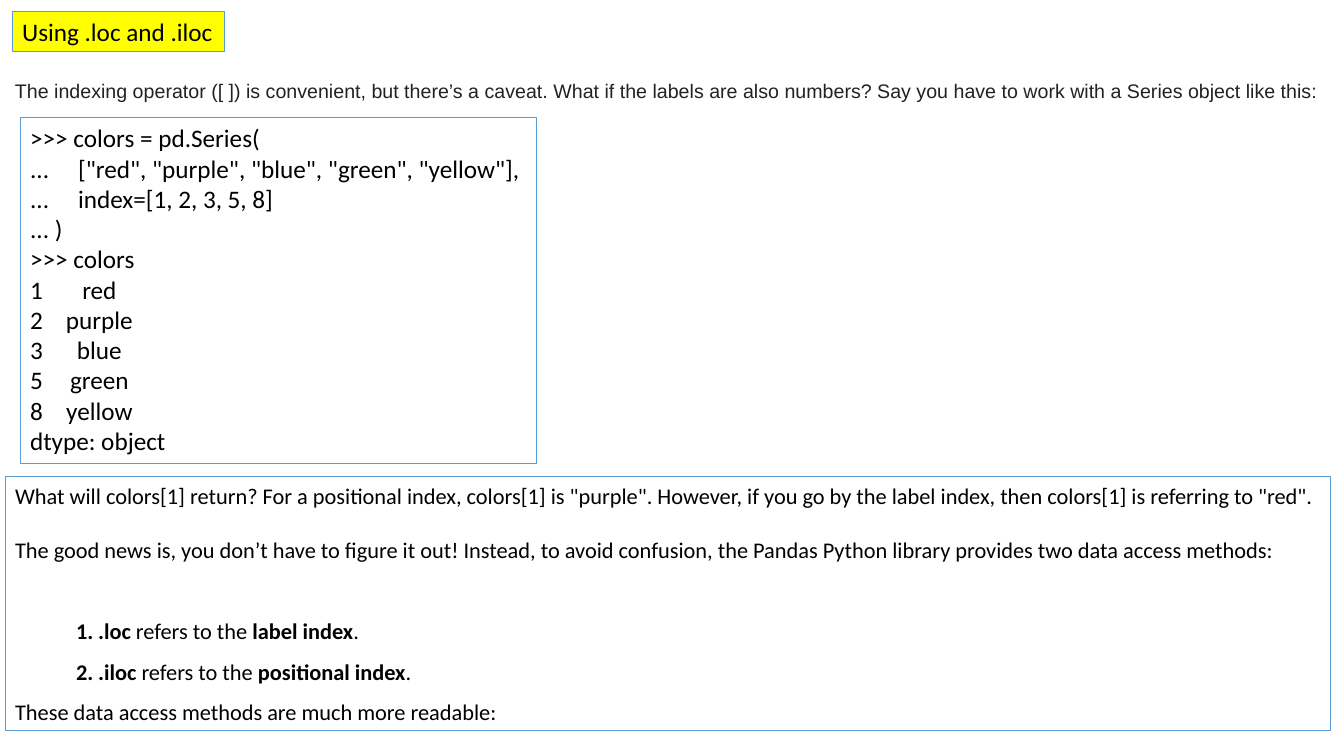
from lxml import etree
from pptx import Presentation
from pptx.dml.color import RGBColor
from pptx.enum import shapes, text
from pptx.oxml import ns
from pptx.util import Pt

COLORS = {"text": "000000", "intro": "222222", "border": "5B9BD5", "heading": "FFFF00"}

HEADING = "Using .loc and .iloc"
INTRO = ("The indexing operator ([ ]) is convenient, but there’s a caveat. What if the labels "
         "are also numbers? Say you have to work with a Series object like this:")
CALL = [
    ">>> colors = pd.Series(",
    '...\t["red", "purple", "blue", "green", "yellow"],',
    "...\tindex=[1, 2, 3, 5, 8]",
    "... )",
    ">>> colors",
]
SERIES = {1: "red", 2: "purple", 3: "blue", 5: "green", 8: "yellow"}
DTYPE = "dtype: object"

# Each paragraph: pieces of (words, bold), space before, line spacing, numbered
EXPLANATION = [
    ([('What will colors[1] return? For a positional index, colors[1] is "purple". However, '
       'if you go by the label index, then colors[1] is referring to "red".', False)],
     0, 1, False),
    ([("The good news is, you don’t have to figure it out! Instead, to avoid confusion, the "
       "Pandas Python library provides two data access methods:", False)],
     19.5, 1, False),
    ([(".loc ", True), ("refers to the ", False), ("label index", True), (".", False)],
     29.3, 1.5, True),
    ([(".iloc ", True), ("refers to the ", False), ("positional index", True), (".", False)],
     0, 1.5, True),
    ([("These data access methods are much more readable:", False)], 0, 1.5, False),
]

# Left, top, width, height
PLACES = {
    "heading": (8.6, 7.9, 152, 28.8),
    "intro": (3.6, 52.6, 946.8, 24.2),
    "code": (14.4, 84.2, 368.6, 247),
    "explanation": (3.6, 340.6, 946.8, 181.4),
}
CODE_TAB, VALUE_TAB = 34.3, 49.5
NUMBER_LEFT, NUMBER_GAP = 43.6, 15.7


def rgb(name):
    """Look up a colour by its role."""
    return RGBColor.from_string(COLORS[name])


def place(part, name):
    """Move a part to its place on the slide."""
    part.left, part.top, part.width, part.height = map(Pt, PLACES[name])


def outline(part, fill=None):
    """Give a part the thin blue border and an optional fill."""
    part.line.color.rgb = rgb("border")
    part.line.width = Pt(0.75)
    if fill:
        part.fill.solid()
        part.fill.fore_color.rgb = rgb(fill)
    else:
        part.fill.background()


def set_frame(frame, wrap):
    """Anchor the words at the top of the frame with standard insets."""
    frame.word_wrap = wrap
    frame.auto_size = text.MSO_AUTO_SIZE.NONE
    frame.vertical_anchor = text.MSO_ANCHOR.TOP
    frame.margin_left = frame.margin_right = Pt(7.2)
    frame.margin_top = frame.margin_bottom = Pt(3.6)


def set_font(frame, size, face="Calibri", color="text"):
    """Left-align every paragraph and format its runs."""
    for paragraph in frame.paragraphs:
        paragraph.alignment = text.PP_ALIGN.LEFT
        for run in paragraph.runs:
            run.font.size = Pt(size)
            run.font.name = face
            run.font.color.rgb = rgb(color)


def add_tab(paragraph, position, align):
    """Add one tab stop to a paragraph."""
    stops = etree.SubElement(paragraph._p.get_or_add_pPr(), ns.qn("a:tabLst"))
    etree.SubElement(stops, ns.qn("a:tab"), pos=str(Pt(position)), algn=align)


def set_number(paragraph, numbered):
    """Number a paragraph, or take away its bullet."""
    properties = paragraph._p.get_or_add_pPr()
    left, gap = (NUMBER_LEFT + NUMBER_GAP, NUMBER_GAP) if numbered else (0, 0)
    properties.set("marL", str(Pt(left)))
    properties.set("indent", str(-Pt(gap)))
    if numbered:
        etree.SubElement(properties, ns.qn("a:buFont"), typeface="Calibri")
        etree.SubElement(properties, ns.qn("a:buAutoNum"), type="arabicPeriod")
    else:
        etree.SubElement(properties, ns.qn("a:buNone"))


def add_heading(slide):
    """Fill the title placeholder."""
    heading = slide.shapes.title
    place(heading, "heading")
    outline(heading, "heading")
    heading.text_frame.text = HEADING
    set_frame(heading.text_frame, False)
    set_font(heading.text_frame, 18)


def add_intro(slide):
    """Add the introductory sentence."""
    intro = slide.shapes.add_textbox(*map(Pt, PLACES["intro"]))
    intro.text_frame.text = INTRO
    set_frame(intro.text_frame, True)
    set_font(intro.text_frame, 14, "Arial", "intro")


def add_code(slide):
    """Add the console session, with the series values centred on a tab."""
    code = slide.shapes.add_shape(shapes.MSO_SHAPE.RECTANGLE, *map(Pt, PLACES["code"]))
    code.shadow.inherit = False
    outline(code)
    rows = [f"{label}\t{value}" for label, value in SERIES.items()]
    code.text_frame.text = "\n".join(CALL + rows + [DTYPE])
    set_frame(code.text_frame, False)
    set_font(code.text_frame, 18)
    for paragraph in code.text_frame.paragraphs:
        if paragraph.text in rows:
            add_tab(paragraph, VALUE_TAB, "ctr")
        elif "\t" in paragraph.text:
            add_tab(paragraph, CODE_TAB, "l")


def add_explanation(slide):
    """Fill the body placeholder with the explanation and its numbered methods."""
    explanation = slide.placeholders[1]
    place(explanation, "explanation")
    outline(explanation)
    frame = explanation.text_frame
    set_frame(frame, True)
    for index, (pieces, before, spacing, numbered) in enumerate(EXPLANATION):
        paragraph = frame.add_paragraph() if index else frame.paragraphs[0]
        paragraph.line_spacing = float(spacing)
        paragraph.space_before = Pt(before)
        paragraph.space_after = Pt(0)
        set_number(paragraph, numbered)
        for words, bold in pieces:
            run = paragraph.add_run()
            run.text = words
            run.font.bold = bold
    set_font(frame, 16)


deck = Presentation()
deck.slide_width, deck.slide_height = Pt(960), Pt(540)
slide = deck.slides.add_slide(deck.slide_layouts[1])
add_heading(slide)
add_intro(slide)
add_code(slide)
add_explanation(slide)
deck.save("out.pptx")
